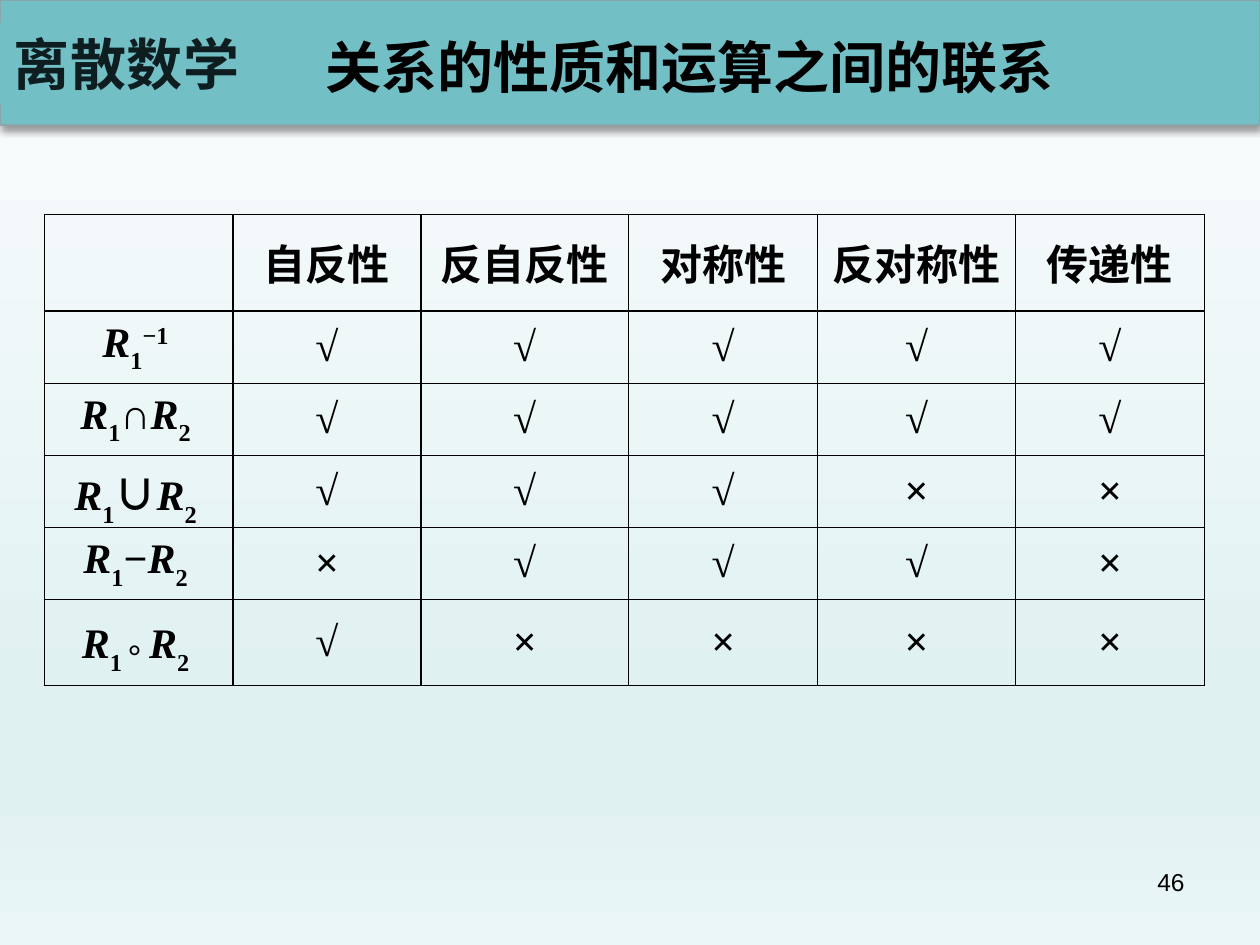
from copy import deepcopy
from dataclasses import dataclass

from lxml import etree
from pptx import Presentation
from pptx import util as u
from pptx.dml import color
from pptx.enum import shapes, text
from pptx.oxml import ns


@dataclass(frozen=True)
class Theme:
    ink: str = "000000"
    banner: str = "72BFC5"
    banner_edge: str = "8AA6A8"
    course: str = "0E1E20"
    backdrop: tuple = ((0, "FCFDFE"), (74, "E0F1F2"), (83, "E0F1F2"), (100, "EBF6F7"))
    sans: str = "Arial"
    serif: str = "Times New Roman"
    chinese: str = "Noto Sans CJK SC"
    heading: int = 32
    body: int = 24
    small: int = 14
    outer_line: float = 0.75
    inner_line: float = 1


def add_child(parent, tag, **attributes):
    return etree.SubElement(parent, ns.qn(tag), attributes)


class SlideBuilder:
    def __init__(self, deck, theme):
        self.theme = theme
        self.page = deck.slides.add_slide(deck.slide_layouts[5])

    def backdrop(self):
        fill = self.page.background.fill
        fill.gradient()
        fill.gradient_angle = 270
        stop_list = self.page.element.find(".//" + ns.qn("a:gsLst"))
        for _ in self.theme.backdrop[len(stop_list):]:
            stop_list.append(deepcopy(stop_list[0]))
        for stop, (position, shade) in zip(fill.gradient_stops, self.theme.backdrop):
            stop.position = position / 100
            stop.color.rgb = color.RGBColor.from_string(shade)

    def set_text(self, frame, spans, align, anchor, wrap=True, **style):
        frame.word_wrap = wrap
        frame.vertical_anchor = anchor
        para = frame.paragraphs[0]
        para.alignment = align
        for content, extra in spans:
            values = {"name": self.theme.sans, "size": self.theme.body,
                      "ink": self.theme.ink, "bold": True, **style, **extra}
            span = para.add_run()
            span.text = content
            span.font.color.rgb = color.RGBColor.from_string(values.pop("ink"))
            values["size"] = u.Pt(values["size"])
            properties = span.font._element
            for key, attribute in (("baseline", "baseline"), ("spacing", "spc")):
                if key in values:
                    properties.set(attribute, str(values.pop(key)))
            for key, value in values.items():
                setattr(span.font, key, value)
            add_child(properties, "a:ea", typeface=self.theme.chinese)

    def rectangle(self, left, top, width, height, edge=None):
        box = self.page.shapes.add_shape(
            shapes.MSO_SHAPE.RECTANGLE, *map(u.Inches, (left, top, width, height)))
        box.shadow.inherit = False
        box.fill.solid()
        box.fill.fore_color.rgb = color.RGBColor.from_string(self.theme.banner)
        if edge:
            box.line.color.rgb = color.RGBColor.from_string(edge)
            box.line.width = u.Pt(1)
        else:
            box.line.fill.background()
        return box

    def banner(self, height):
        box = self.rectangle(0, 0, 10, height, self.theme.banner_edge)
        effects = box.element.spPr.find(ns.qn("a:effectLst"))
        shadow = add_child(effects, "a:outerShdw", blurRad=str(u.Pt(4)),
                           dist=str(u.Pt(3)), dir="5400000", rotWithShape="0")
        shade = add_child(shadow, "a:srgbClr", val=self.theme.ink)
        add_child(shade, "a:alpha", val="40000")

    def course_label(self, content, *bounds):
        box = self.rectangle(*bounds)
        self.set_text(box.text_frame, [(content, {})], text.PP_ALIGN.CENTER,
                      text.MSO_ANCHOR.MIDDLE, wrap=False, name=self.theme.chinese,
                      size=self.theme.heading, ink=self.theme.course, spacing=50)

    def title(self, content, left, top, width, height):
        box = self.page.shapes.title
        bounds = {"left": left, "top": top, "width": width, "height": height}
        for key, value in bounds.items():
            setattr(box, key, u.Inches(value))
        self.page.shapes._spTree.append(box.element)
        box.text_frame.auto_size = text.MSO_AUTO_SIZE.NONE
        self.set_text(box.text_frame, [(content, {})], text.PP_ALIGN.LEFT,
                      text.MSO_ANCHOR.TOP, wrap=False, size=self.theme.heading)

    def page_number(self, content, *bounds):
        box = self.page.shapes.add_textbox(*map(u.Inches, bounds))
        self.set_text(box.text_frame, [(content, {})], text.PP_ALIGN.RIGHT,
                      text.MSO_ANCHOR.TOP, size=self.theme.small, bold=False)

    def borders(self, cell, outer_sides):
        properties = cell._tc.get_or_add_tcPr()
        for index, side in enumerate("LRTB"):
            width = self.theme.outer_line if side in outer_sides else self.theme.inner_line
            line = etree.Element(ns.qn("a:ln" + side), w=str(u.Pt(width)))
            add_child(add_child(line, "a:solidFill"), "a:srgbClr", val=self.theme.ink)
            properties.insert(index, line)

    def table(self, left, top, widths, heights, rows):
        frame = self.page.shapes.add_table(
            len(heights), len(widths),
            *map(u.Inches, (left, top, sum(widths), sum(heights))))
        grid = frame.table
        grid.first_row = grid.horz_banding = False
        for column, width in zip(grid.columns, widths):
            column.width = u.Inches(width)
        for row, height in zip(grid.rows, heights):
            row.height = u.Inches(height)
        last_row, last_column = len(heights) - 1, len(widths) - 1
        for row_index, row in enumerate(rows):
            font = self.theme.serif if row_index else self.theme.sans
            for column_index, spans in enumerate(row):
                cell = grid.cell(row_index, column_index)
                cell.fill.background()
                edges = {"L": column_index == 0, "R": column_index == last_column,
                         "T": row_index == 0, "B": row_index == last_row}
                self.borders(cell, [side for side, outer in edges.items() if outer])
                cell.vertical_anchor = text.MSO_ANCHOR.MIDDLE
                self.set_text(cell.text_frame, spans, text.PP_ALIGN.CENTER,
                              text.MSO_ANCHOR.MIDDLE, name=font)


def relation(index):
    return [("R", {"italic": True}), (index, {"baseline": -30000})]


def operation(symbol, first="1", **style):
    return relation(first) + [(symbol, style)] + relation("2 ")


def main():
    deck = Presentation()
    deck.slide_width, deck.slide_height = u.Inches(10), u.Inches(7.5)
    theme = Theme()
    builder = SlideBuilder(deck, theme)

    properties = ["自反性", "反自反性", "对称性", "反对称性", "传递性"]
    results = [
        (relation("1") + [("−1 ", {"baseline": 30000})], "√√√√√"),
        (operation("∩"), "√√√√√"),
        (operation("∪", name=theme.chinese), "√√√××"),
        (operation("−"), "×√√√×"),
        (operation("° ", "1 ", size=theme.heading, baseline=-16000), "√××××"),
    ]
    rows = [[[]] + [[(name, {})] for name in properties]]
    rows += [[label] + [[(mark, {})] for mark in marks] for label, marks in results]

    builder.backdrop()
    builder.banner(0.99)
    builder.course_label("离散数学", 0, 0.18, 2.01, 0.64)
    builder.page_number("46", 7.17, 6.83, 2.33, 0.52)
    builder.table(0.35, 1.7, [1.5, 1.49, 1.65, 1.5, 1.57, 1.5],
                  [0.77] + [0.57] * 4 + [0.68], rows)
    builder.title("关系的性质和运算之间的联系", 2.48, 0.21, 6, 0.63)
    deck.save("out.pptx")


if __name__ == "__main__":
    main()
